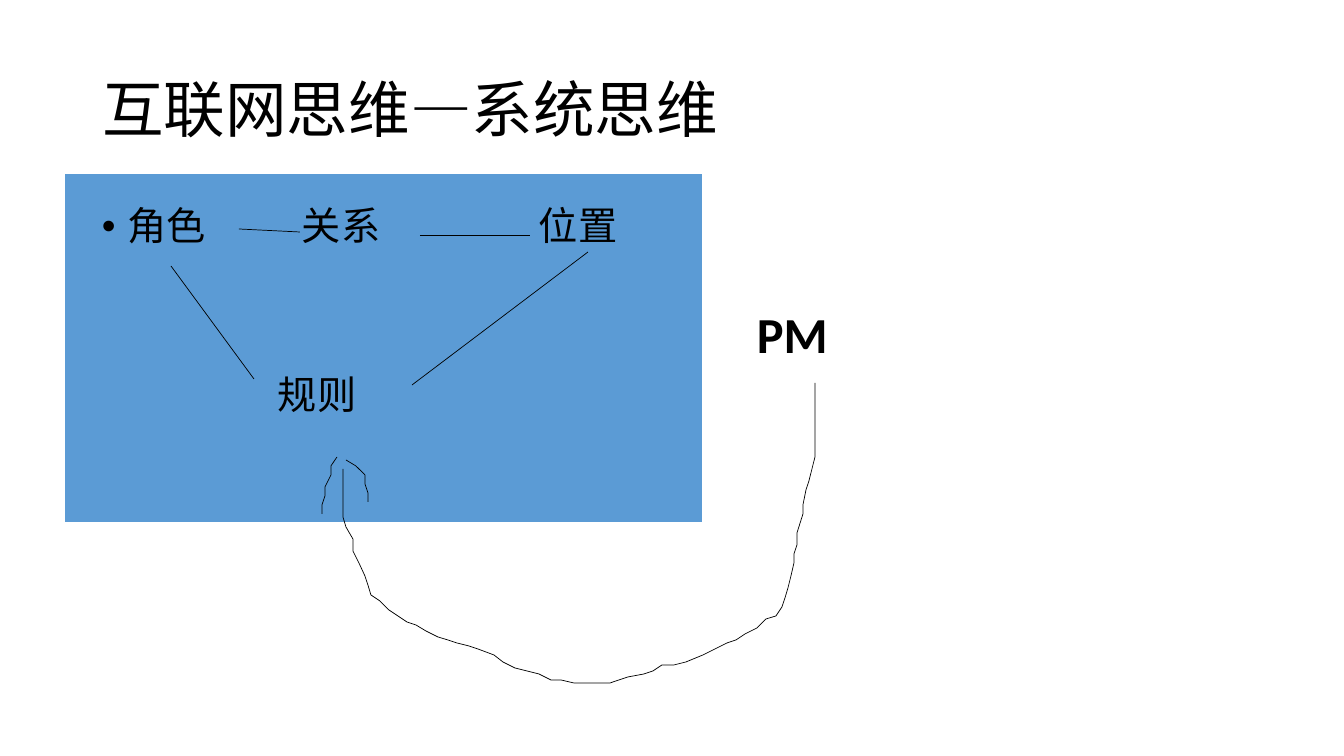
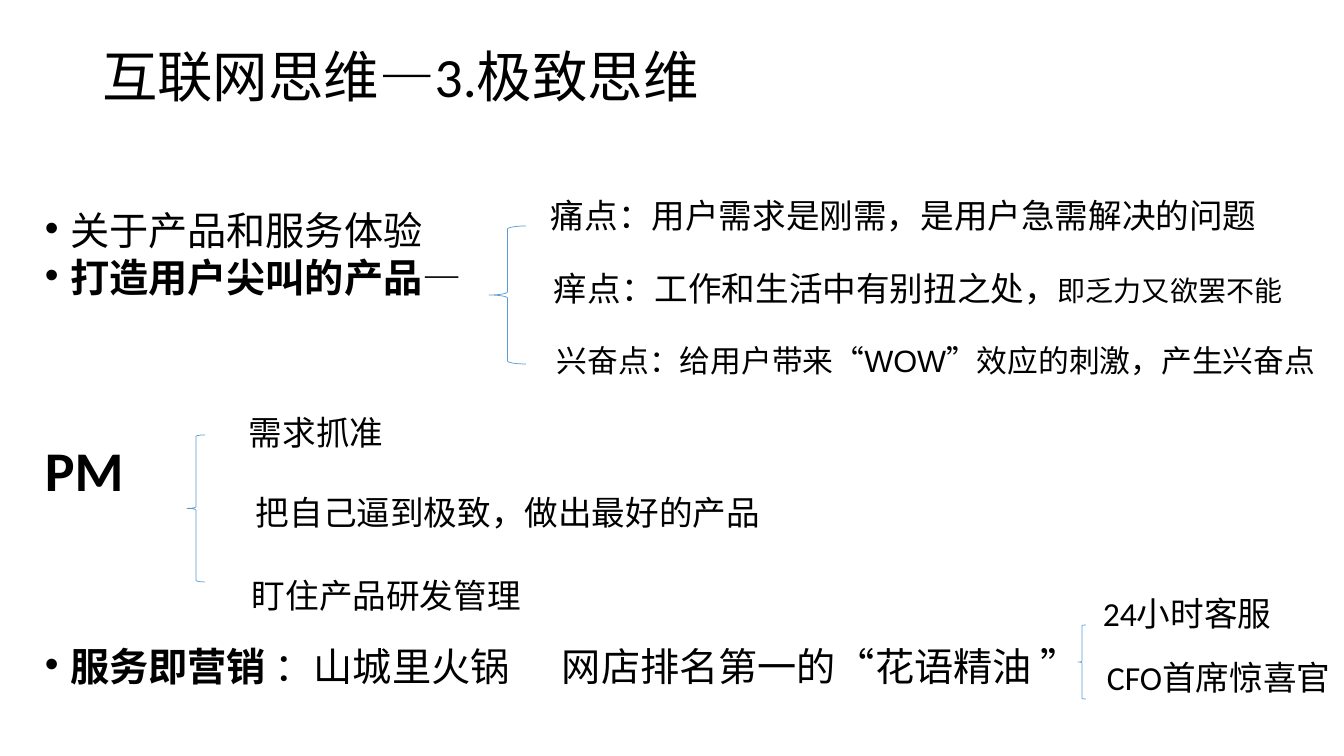
from lxml.etree import SubElement as Sub
from pptx import Presentation
from pptx.dml.color import RGBColor
from pptx.enum.shapes import MSO_CONNECTOR as Conn, MSO_SHAPE as Kind
from pptx.enum.text import MSO_ANCHOR as Anchor, MSO_AUTO_SIZE as Fit, PP_ALIGN as Align
from pptx.oxml.ns import qn
from pptx.util import Emu, Pt

UNIT = 914400 / 100.8
BLACK, BLUE = "000000", "5B9BD5"
hue = RGBColor.from_string


def px(*nums):
    return [Emu(round(n * UNIT)) for n in nums]


def write(shape, box, text, size, bold=False, lead=1.0, dot=False, face="Calibri"):
    shape.left, shape.top, shape.width, shape.height = px(*box)
    frame = shape.text_frame
    frame.word_wrap = True
    frame.auto_size = Fit.NONE
    frame.text = text.replace("|", "")
    for para, line in zip(frame.paragraphs, text.split("\n")):
        para.text = ""
        para.alignment = Align.LEFT
        para.line_spacing = lead
        for part in line.split("|"):
            run = para.add_run()
            run.text = part
            run.font.size = Pt(size)
            run.font.name = face
            run.font.bold = bold
            run.font.color.rgb = hue(BLACK)
        if dot:
            para.space_before = Pt(10)
            props = para._p.get_or_add_pPr()
            props.set("marL", "228600")
            props.set("indent", "-228600")
            Sub(props, qn("a:buFont")).set("typeface", "Arial")
            Sub(props, qn("a:buChar")).set("char", "•")
    return frame


deck = Presentation()
deck.slide_width, deck.slide_height = px(1344, 756)
plain = deck.slide_layouts[5]

slide = deck.slides.add_slide(plain)
shapes = slide.shapes
title = write(shapes.title, (92, 40, 1159, 146), "互联网思维—系统思维", 44, lead=0.9)
title.vertical_anchor = Anchor.MIDDLE

panel = shapes.add_shape(Kind.RECTANGLE, *px(65, 174, 637, 348))
panel.shadow.inherit = False
panel.fill.solid()
panel.fill.fore_color.rgb = hue(BLUE)
panel.line.fill.background()

for left, top, word in [
    (92, 202, "角色"), (292, 202, "关系"), (529, 202, "位置"), (268, 371, "规则"),
]:
    label = shapes.add_textbox(0, 0, 0, 0)
    write(label, (left, top, 160, 55), word, 28, lead=0.9, dot=word == "角色")

label = shapes.add_textbox(0, 0, 0, 0)
write(label, (747, 298, 324, 72), "PM", 36, bold=True)

for ends in [
    (171, 266, 254, 379), (239, 229, 300, 232),
    (420, 235, 530, 235), (588, 252, 412, 385),
]:
    link = shapes.add_connector(Conn.STRAIGHT, *px(*ends))
    link.line.color.rgb = hue(BLACK)
    link.line.width = Pt(0.5)
    Sub(link._element.spPr, qn("a:effectLst"))

swoop = [
    (815, 383), (815, 457), (812, 469), (809, 481), (806, 490), (803, 505),
    (803, 514), (797, 533), (797, 545), (794, 554), (794, 563), (791, 576),
    (788, 588), (785, 598), (782, 607), (776, 616), (766, 619), (757, 628),
    (745, 634), (736, 640), (727, 643), (715, 649), (703, 655), (686, 662),
    (674, 665), (662, 665), (653, 671), (644, 674), (628, 677), (619, 680),
    (610, 683), (574, 683), (561, 680), (551, 680), (539, 674), (527, 671),
    (515, 668), (503, 662), (494, 655), (478, 649), (469, 646), (457, 643),
    (448, 640), (438, 637), (426, 631), (416, 625), (407, 622), (398, 616),
    (389, 610), (380, 601), (371, 595), (368, 585), (365, 576), (359, 563),
    (353, 551), (353, 539), (346, 527), (343, 517), (343, 469),
]
barb = [(337, 457), (331, 466), (331, 475), (325, 487), (325, 496), (322, 505), (322, 514)]
hook = [(346, 460), (356, 466), (365, 475), (365, 484), (368, 493), (368, 502)]
for dots in (swoop, barb, hook):
    pen = shapes.build_freeform(*dots[0], scale=UNIT)
    pen.add_line_segments(dots[1:], close=False)
    curve = pen.convert_to_shape()
    curve.shadow.inherit = False
    curve.fill.background()
    curve.line.color.rgb = hue(BLACK)
    curve.line.width = Pt(0.5)

slide = deck.slides.add_slide(plain)
shapes = slide.shapes
title = write(shapes.title, (92, 45, 1159, 141), "互联网思维—3.极致思维", 39.6, lead=0.9)
title.vertical_anchor = Anchor.TOP

label = shapes.add_textbox(0, 0, 0, 0)
goals = write(label, (35, 214, 450, 100), "关于产品和服务体验\n打造用户尖叫的产品|—",
              28, lead=0.7, dot=True)
goals.paragraphs[1].runs[0].font.bold = True

label = shapes.add_textbox(0, 0, 0, 0)
write(label, (35, 449, 140, 60), "PM", 40, bold=True, lead=0.7)

label = shapes.add_textbox(0, 0, 0, 0)
serve = write(label, (35, 650, 500, 50), "服务即营销 |：山城里火锅", 28, lead=0.7, dot=True)
serve.paragraphs[0].runs[0].font.bold = True

label = shapes.add_textbox(0, 0, 0, 0)
write(label, (552, 650, 560, 50), "网店排名第一的“花语精油 ”", 28, lead=0.7)

for box in [(489, 226, 37, 138), (187, 435, 18, 147), (1078, 625, 8, 74)]:
    brace = shapes.add_shape(Kind.LEFT_BRACE, *px(*box))
    brace.shadow.inherit = False
    brace.fill.background()
    brace.line.color.rgb = hue(BLUE)
    brace.line.width = Pt(0.5)

for left, top, wide, text, size, face in [
    (541, 190, 743, "痛点：用户需求是刚需，是用户急需解决的问题", 24, "Calibri"),
    (544, 263, 788, "痒点：工作和生活中有别扭之处，|即乏力又欲罢不能", 24, "Calibri"),
    (547, 337, 791, "兴奋点：给用户带来“WOW”效应的刺激，产生兴奋点", 22, "Arial"),
    (239, 407, 276, "需求抓准", 24, "Calibri"),
    (246, 487, 629, "把自己逼到极致，做出最好的产品", 24, "Calibri"),
    (242, 570, 371, "盯住产品研发管理", 24, "Calibri"),
    (1093, 588, 212, "24小时客服", 24, "Calibri"),
    (1097, 652, 261, "CFO首席惊喜官", 24, "Calibri"),
]:
    label = shapes.add_textbox(0, 0, 0, 0)
    note = write(label, (left, top, wide, 50), text, size, face=face)
    for run in note.paragraphs[0].runs[1:]:
        run.font.size = Pt(20)

deck.save("out.pptx")
